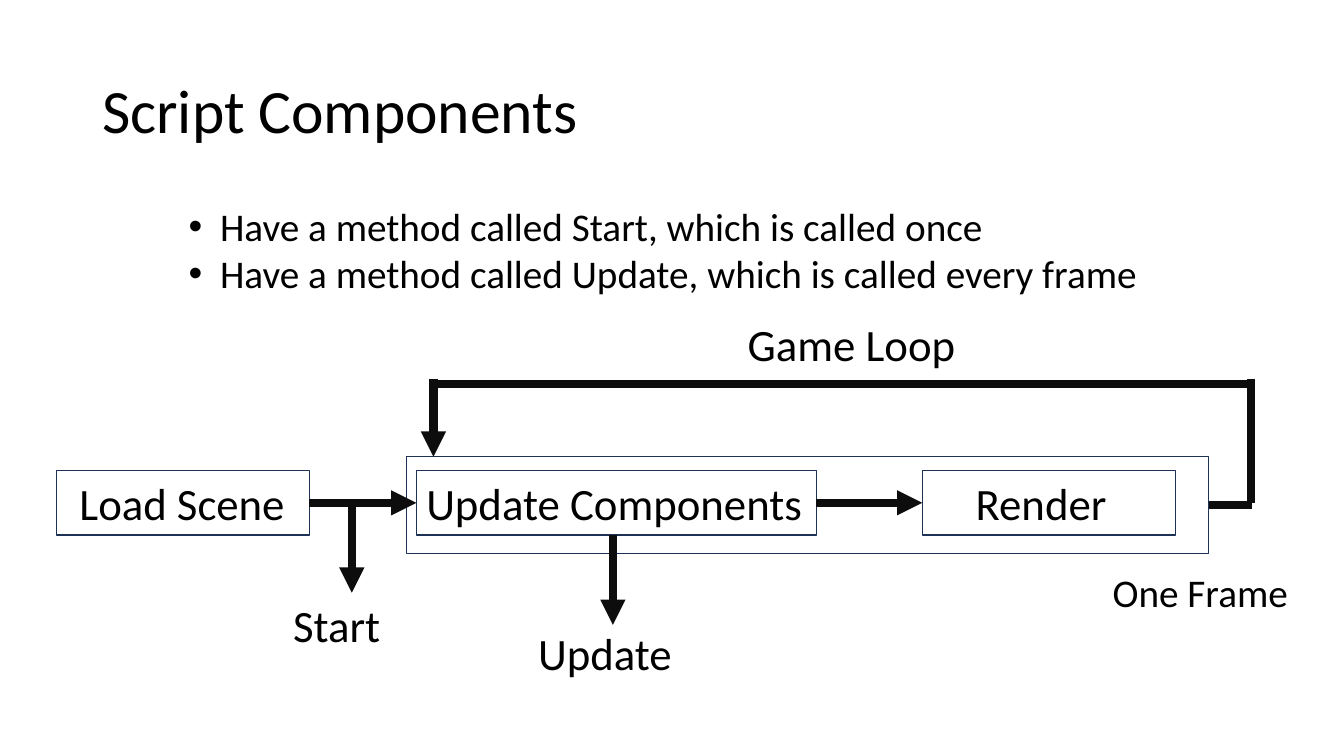
import pptx
import pptx.dml.color
import pptx.enum.shapes
import pptx.enum.text
import pptx.oxml
import pptx.oxml.ns
import pptx.util

Pt = pptx.util.Pt
RGBColor = pptx.dml.color.RGBColor
Anchor = pptx.enum.text.MSO_ANCHOR
AutoSize = pptx.enum.text.MSO_AUTO_SIZE

BLACK = RGBColor(0x00, 0x00, 0x00)
NAVY = RGBColor(0x1E, 0x32, 0x56)
ARROW_BLACK = RGBColor(0x0D, 0x0D, 0x0D)
FONT = "Calibri"

# Shared levels of the diagram
STEP_TOP, STEP_HEIGHT = 336.2, 46
STEP_MIDDLE = STEP_TOP + STEP_HEIGHT / 2
STEP_BOTTOM = STEP_TOP + STEP_HEIGHT
FRAME_TOP, FRAME_HEIGHT = 326.2, 69.1
FRAME_MIDDLE = FRAME_TOP + FRAME_HEIGHT / 2
LOOP_TOP = 270.7
RIGHT, LEFT = 3, 1


def add_xml(parent, tag, **attributes):
    child = pptx.oxml.parse_xml(f"<{tag} {pptx.oxml.ns.nsdecls('a')}/>")
    for name, value in attributes.items():
        child.set(name, value)
    parent.append(child)


def add_text(slide, left, top, width, height, *lines, size=32, wrap=False,
             anchor=Anchor.TOP, line_spacing=1.0, bullet_indent=0):
    box = slide.shapes.add_textbox(Pt(left), Pt(top), Pt(width), Pt(height))
    frame = box.text_frame
    frame.word_wrap = wrap
    frame.auto_size = AutoSize.NONE if wrap else AutoSize.SHAPE_TO_FIT_TEXT
    frame.vertical_anchor = anchor
    for number, line in enumerate(lines):
        paragraph = frame.add_paragraph() if number else frame.paragraphs[0]
        paragraph.line_spacing = line_spacing
        if bullet_indent:
            properties = paragraph._p.get_or_add_pPr()
            properties.set("marL", str(Pt(bullet_indent)))
            properties.set("indent", str(-Pt(bullet_indent)))
            add_xml(properties, "a:buFont", typeface="Arial")
            add_xml(properties, "a:buChar", char="•")
        run = paragraph.add_run()
        run.text = line
        run.font.name = FONT
        run.font.size = Pt(size)
        run.font.color.rgb = BLACK


def add_outline(slide, left, top, width, height):
    outline = slide.shapes.add_shape(
        pptx.enum.shapes.MSO_SHAPE.RECTANGLE,
        Pt(left), Pt(top), Pt(width), Pt(height))
    outline.shadow.inherit = False
    outline.fill.background()
    outline.line.color.rgb = NAVY
    outline.line.width = Pt(1)
    return outline


def add_line(slide, start, end, arrow=True, source=None, target=None):
    line = slide.shapes.add_connector(
        pptx.enum.shapes.MSO_CONNECTOR.STRAIGHT, *map(Pt, start + end))
    if source is not None:
        line.begin_connect(source, RIGHT)
    if target is not None:
        line.end_connect(target, LEFT)
    line.line.color.rgb = ARROW_BLACK
    line.line.width = Pt(6)
    if arrow:
        add_xml(line.line._get_or_add_ln(), "a:tailEnd", type="triangle")
    add_xml(line._element.spPr, "a:effectLst")


def main():
    deck = pptx.Presentation()
    deck.slide_width, deck.slide_height = Pt(960), Pt(540)
    slide = deck.slides.add_slide(deck.slide_layouts[6])

    # Title and bullets
    add_text(slide, 66, 28.75, 828, 104.4, "Script Components", size=44,
             wrap=True, anchor=Anchor.MIDDLE, line_spacing=0.9)
    add_text(slide, 127.6, 141, 705.6, 75,
             "Have a method called Start, which is called once",
             "Have a method called Update, which is called every frame",
             size=28, bullet_indent=22.5)

    # Steps of the game, inside and outside the frame
    load_scene, update_components, render = [
        add_outline(slide, left, STEP_TOP, width, STEP_HEIGHT)
        for left, width in ((40.3, 180.7), (297.4, 285.8), (658.8, 180.7))]
    frame = add_outline(slide, 290.2, FRAME_TOP, 573.1, FRAME_HEIGHT)

    # Arrows between the steps
    for source, target, start, end in (
            (load_scene, update_components, 221, 297.4),
            (update_components, render, 583.2, 658.8)):
        add_line(slide, (start, STEP_MIDDLE), (end, STEP_MIDDLE),
                 source=source, target=target)

    # Calls to the two methods
    add_line(slide, (251.3, STEP_MIDDLE), (251.3, 423.4))
    add_line(slide, (437.8, STEP_BOTTOM), (437.8, 446.4))

    # Loop back from the end of the frame to its start
    add_line(slide, (863.3, FRAME_MIDDLE), (894.2, FRAME_MIDDLE),
             arrow=False, source=frame)
    add_line(slide, (893.5, LOOP_TOP), (893.5, STEP_MIDDLE), arrow=False)
    add_line(slide, (308.2, LOOP_TOP + 3.6), (891.4, LOOP_TOP + 3.6),
             arrow=False)
    add_line(slide, (309.6, LOOP_TOP), (309.6, FRAME_TOP))

    # Labels
    for label, left, top, width in (
            ("Load Scene", 49.7, STEP_TOP, 162.7),
            ("Update Components", 297.4, STEP_TOP, 285.8),
            ("Render", 689.8, STEP_TOP, 108.7),
            ("Game Loop", 527, 222.5, 164.2),
            ("Start", 202.3, 423.4, 77.8),
            ("Update", 377.3, 443.5, 110.9)):
        add_text(slide, left, top, width, STEP_HEIGHT, label)
    add_text(slide, 787.7, 402.5, 141.1, 41, "One Frame", size=28)

    deck.save("out.pptx")


if __name__ == "__main__":
    main()
